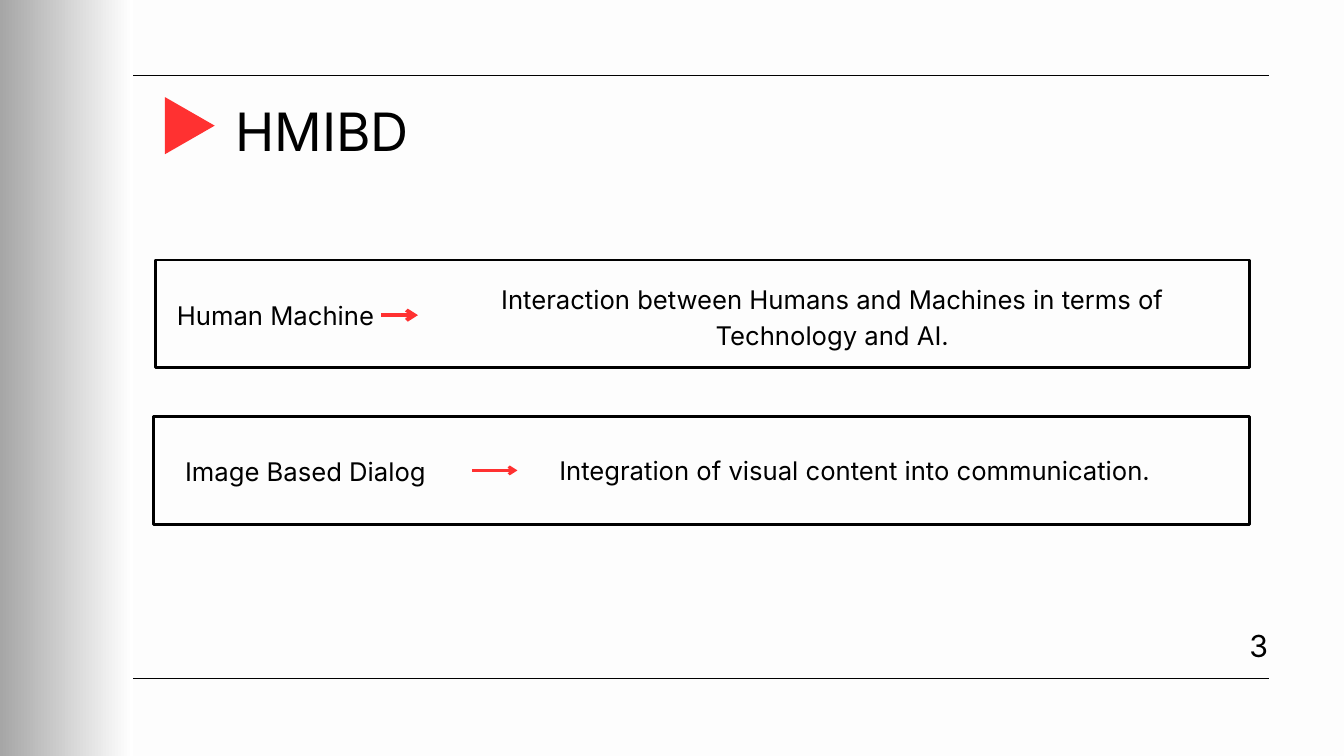
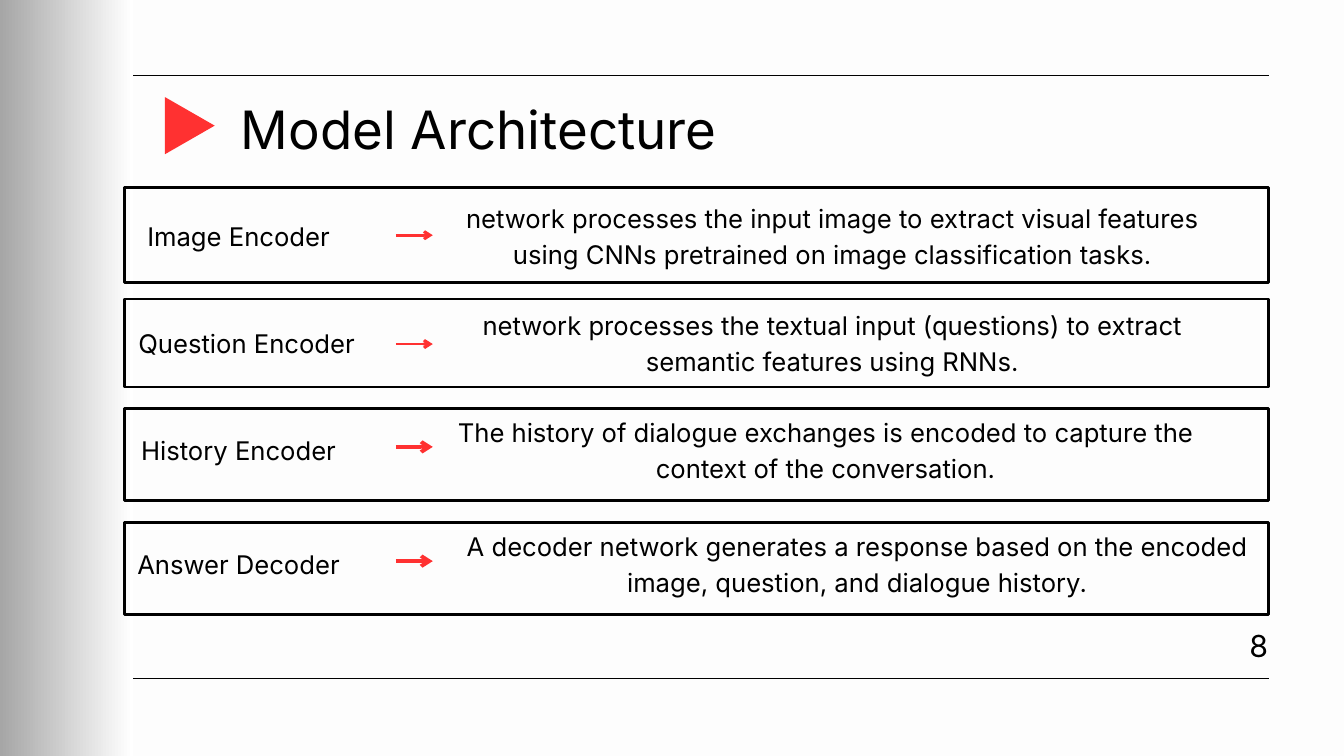
from lxml.etree import SubElement
from pptx import Presentation
from pptx.dml.color import RGBColor
from pptx.enum.shapes import MSO_CONNECTOR, MSO_SHAPE
from pptx.enum.text import PP_ALIGN
from pptx.oxml.ns import qn
from pptx.util import Inches, Pt

COLORS = {
    "background": "FDFDFD",
    "ink": "000000",
    "accent": "FF3131",
    "band_dark": "A6A6A6",
    "band_light": "FFFFFF",
}
FONT = "Inter"
SLIDE_WIDTH, SLIDE_HEIGHT = 20, 11.25
BAND_WIDTH = 1.98
RULE_LEFT, RULE_RIGHT = 1.12, 18.88
RULE_TOPS = (1.12, 10.1)
LINE_SPACING = 1.4


def color(name):
    return RGBColor.from_string(COLORS[name])


class Deck:
    """Holds the shared style and the slide being built."""

    def __init__(self):
        self.presentation = Presentation()
        self.presentation.slide_width = Inches(SLIDE_WIDTH)
        self.presentation.slide_height = Inches(SLIDE_HEIGHT)
        self.slide = None

    def start_slide(self, title, number, title_box):
        """Add a slide with its rules, side band, marker, title and number."""
        blank_layout = self.presentation.slide_layouts[6]
        self.slide = self.presentation.slides.add_slide(blank_layout)
        background = self.slide.background.fill
        background.solid()
        background.fore_color.rgb = color("background")

        for top in RULE_TOPS:
            self.line(RULE_LEFT, RULE_RIGHT, top)
        self.side_band()
        self.title_marker()
        self.text(title, *title_box, size=56.6)
        self.text(str(number), 13.61, 9.24, 5.26, 0.61, size=32.5,
                  align=PP_ALIGN.RIGHT, letter_spacing=9.8)

    def shape(self, kind, left, top, width, height):
        shape = self.slide.shapes.add_shape(
            kind, Inches(left), Inches(top), Inches(width), Inches(height))
        shape.shadow.inherit = False
        return shape

    def side_band(self):
        band = self.shape(MSO_SHAPE.RECTANGLE, 0, 0, BAND_WIDTH, SLIDE_HEIGHT)
        band.line.fill.background()
        band.fill.gradient()
        band.fill.gradient_angle = 0
        for stop, name in zip(band.fill.gradient_stops, ("band_dark", "band_light")):
            stop.color.rgb = color(name)

    def title_marker(self):
        marker = self.shape(MSO_SHAPE.ISOSCELES_TRIANGLE, 2.4, 1.5, 0.85, 0.74)
        marker.rotation = 90
        marker.fill.solid()
        marker.fill.fore_color.rgb = color("accent")
        marker.line.fill.background()

    def frame(self, left, top, right, height):
        frame = self.shape(MSO_SHAPE.RECTANGLE, left, top, right - left, height)
        frame.fill.background()
        frame.line.color.rgb = color("ink")
        frame.line.width = Pt(3)

    def line(self, start, end, top, name="ink", weight=1.5, arrow=False):
        """Draw a horizontal line, with an arrowhead at its end if asked."""
        connector = self.slide.shapes.add_connector(
            MSO_CONNECTOR.STRAIGHT, Inches(start), Inches(top), Inches(end), Inches(top))
        connector.line.color.rgb = color(name)
        connector.line.width = Pt(weight)
        if arrow:
            SubElement(connector.line._get_or_add_ln(), qn("a:tailEnd"), type="arrow")
        SubElement(connector._element.spPr, qn("a:effectLst"))

    def text(self, content, left, top, width, height, size=27.5,
             align=PP_ALIGN.CENTER, letter_spacing=None):
        box = self.slide.shapes.add_textbox(
            Inches(left), Inches(top), Inches(width), Inches(height))
        frame = box.text_frame
        frame.word_wrap = True
        frame.margin_left = frame.margin_right = 0
        frame.margin_top = frame.margin_bottom = 0
        paragraph = frame.paragraphs[0]
        paragraph.alignment = align
        paragraph.line_spacing = Pt(round(size * LINE_SPACING, 1))
        run = paragraph.add_run()
        run.text = content
        run.font.name = FONT
        run.font.size = Pt(size)
        run.font.color.rgb = color("ink")
        if letter_spacing:
            run._r.get_or_add_rPr().set("spc", str(round(letter_spacing * 100)))

    def definition(self, term, meaning, frame, term_box, meaning_box, arrow):
        """Draw a framed row: term, arrow, meaning."""
        self.text(term, *term_box, 0.5)
        start, end, top, weight = arrow
        self.line(start, end, top, "accent", weight, arrow=True)
        self.text(meaning, *meaning_box, 1.03)
        self.frame(*frame)


def build_hmibd(deck):
    deck.start_slide("HMIBD", 3, title_box=(2.95, 1.31, 3.69, 1.03))
    deck.definition(
        "Human Machine",
        "Interaction between Humans and Machines in terms of Technology and AI.",
        frame=(2.32, 3.87, 18.59, 1.6), term_box=(1.98, 4.39, 4.24),
        meaning_box=(6.54, 4.15, 11.69), arrow=(5.67, 6.22, 4.69, 4))
    deck.definition(
        "Image Based Dialog",
        "Integration of visual content into communication.",
        frame=(2.28, 6.2, 18.59, 1.6), term_box=(2.06, 6.71, 4.97),
        meaning_box=(7.31, 6.69, 10.82), arrow=(7.03, 7.7, 7, 3))


def build_model_architecture(deck):
    deck.start_slide("Model Architecture", 8, title_box=(2.95, 1.28, 8.35, 1.06))
    # term, meaning, frame top and height, term left and top,
    # meaning left and top, arrow top and weight
    parts = [
        ("Image Encoder",
         "network processes the input image to extract visual features "
         "using CNNs pretrained on image classification tasks.",
         (2.79, 1.41), (1.43, 3.21), (6.54, 2.94), (3.5, 3)),
        ("Question Encoder",
         "network processes the textual input (questions) to extract "
         "semantic features using RNNs.",
         (4.45, 1.31), (1.55, 4.81), (6.54, 4.54), (5.12, 3)),
        ("History Encoder",
         "The history of dialogue exchanges is encoded to capture the "
         "context of the conversation.",
         (6.08, 1.37), (1.43, 6.4), (6.44, 6.13), (6.65, 4)),
        ("Answer Decoder",
         "A decoder network generates a response based on the encoded "
         "image, question, and dialogue history.",
         (7.77, 1.37), (1.43, 8.09), (6.91, 7.83), (8.35, 4)),
    ]
    for term, meaning, (top, height), term_place, meaning_place, arrow in parts:
        deck.definition(
            term, meaning,
            frame=(1.85, top, RULE_RIGHT, height), term_box=(*term_place, 4.24),
            meaning_box=(*meaning_place, 11.69), arrow=(5.89, 6.44, *arrow))


def main():
    deck = Deck()
    build_hmibd(deck)
    build_model_architecture(deck)
    deck.presentation.save("out.pptx")


if __name__ == "__main__":
    main()
